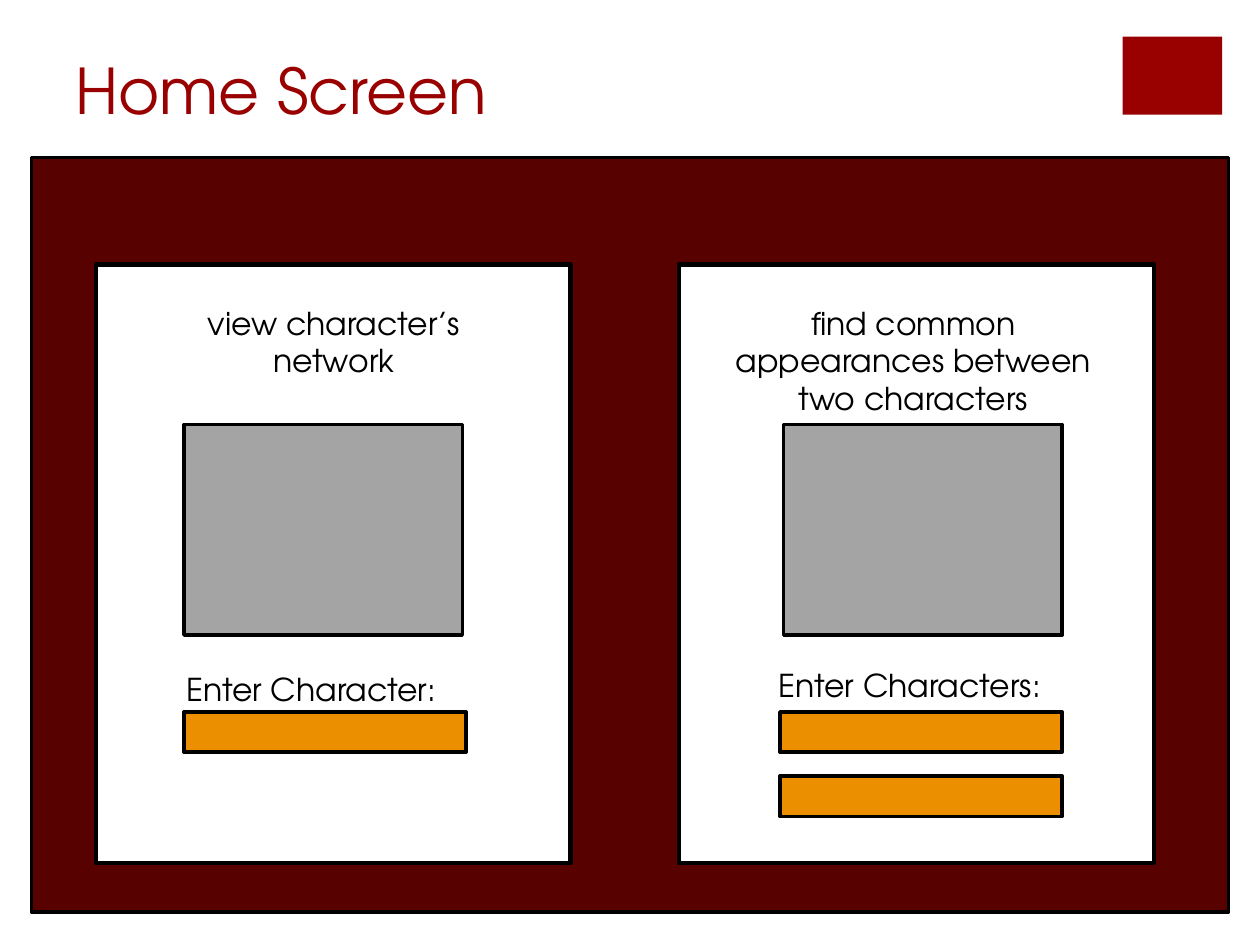
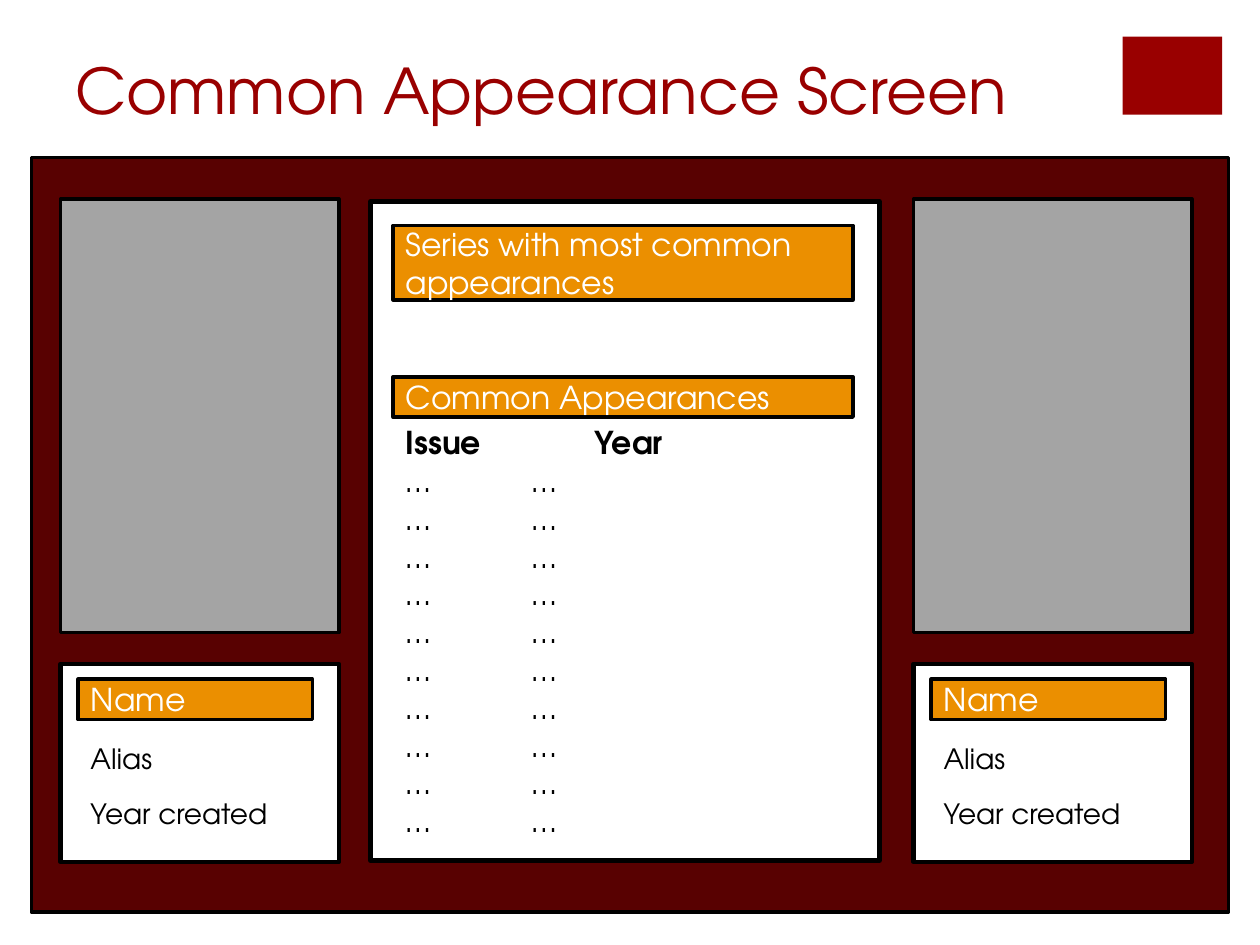
from dataclasses import dataclass

from pptx import Presentation
from pptx.dml.color import RGBColor
from pptx.enum.shapes import MSO_SHAPE
from pptx.enum.text import MSO_ANCHOR, MSO_AUTO_SIZE, PP_ALIGN
from pptx.presentation import Presentation as Deck
from pptx.slide import Slide
from pptx.text.text import TextFrame
from pptx.util import Pt

EMU_PER_PX = 9144  # 100 px to the inch


@dataclass(frozen=True)
class Theme:
    font: str = "TeX Gyre Adventor"
    accent: str = "990000"
    backdrop: str = "580101"
    panel: str = "FFFFFF"
    field: str = "EB8F00"
    image: str = "A4A4A4"
    ink: str = "000000"
    light_ink: str = "FFFFFF"
    title_size: int = 36
    body_size: int = 18
    detail_size: int = 16
    thin: float = 2
    thick: float = 2.5


@dataclass(frozen=True)
class Box:
    x: int
    y: int
    w: int
    h: int

    def emu(self) -> tuple[int, int, int, int]:
        return tuple(v * EMU_PER_PX for v in (self.x, self.y, self.w, self.h))


@dataclass(frozen=True)
class Choice:
    """One of the two options offered on the home screen."""
    panel_x: int
    heading: str
    heading_box: Box
    image_x: int
    prompt: str
    prompt_box: Box
    field_x: int
    field_tops: tuple[int, ...]


THEME = Theme()

CHOICES = (
    Choice(76, "view character’s network", Box(110, 236, 310, 71), 146,
           "Enter Character:", Box(138, 527, 237, 40), 146, (565,)),
    Choice(539, "find common appearances between two characters",
           Box(570, 236, 310, 101), 622,
           "Enter Characters:", Box(608, 524, 237, 40), 619, (565, 616)),
)
CHARACTER_LEFTS = (48, 725)
ISSUE_ROWS = 10


def format_text(tf: TextFrame, text: str, size: int, color: str,
                align: PP_ALIGN = PP_ALIGN.LEFT) -> None:
    tf.word_wrap = True
    tf.text = text
    for p in tf.paragraphs:
        p.alignment = align
        for r in p.runs:
            r.font.name = THEME.font
            r.font.size = Pt(size)
            r.font.color.rgb = RGBColor.from_string(color)


def add_rect(s: Slide, box: Box, fill: str, line: float = THEME.thin,
             text: str = "") -> None:
    """Draw a rectangle; a line width of 0 leaves out the outline."""
    sp = s.shapes.add_shape(MSO_SHAPE.RECTANGLE, *box.emu())
    sp.shadow.inherit = False
    sp.fill.solid()
    sp.fill.fore_color.rgb = RGBColor.from_string(fill)
    if line:
        sp.line.color.rgb = RGBColor.from_string(THEME.ink)
        sp.line.width = Pt(line)
    else:
        sp.line.fill.background()
    if text:
        sp.text_frame.vertical_anchor = MSO_ANCHOR.MIDDLE
        format_text(sp.text_frame, text, THEME.body_size, THEME.light_ink)


def add_text(s: Slide, box: Box, text: str, size: int = THEME.body_size,
             color: str = THEME.ink, align: PP_ALIGN = PP_ALIGN.LEFT,
             grow: bool = True) -> TextFrame:
    tf = s.shapes.add_textbox(*box.emu()).text_frame
    format_text(tf, text, size, color, align)
    tf.auto_size = MSO_AUTO_SIZE.SHAPE_TO_FIT_TEXT if grow else MSO_AUTO_SIZE.NONE
    return tf


def add_screen(prs: Deck, title: str) -> Slide:
    """Add a slide with the title, corner block and backdrop all screens share."""
    s = prs.slides.add_slide(prs.slide_layouts[6])
    add_rect(s, Box(891, 29, 79, 62), THEME.accent, line=0)
    add_rect(s, Box(25, 125, 950, 599), THEME.backdrop)
    add_text(s, Box(50, 36, 808, 125), title, THEME.title_size, THEME.accent,
             grow=False)
    return s


def add_choice(s: Slide, choice: Choice) -> None:
    add_rect(s, Box(choice.panel_x, 210, 377, 475), THEME.panel, THEME.thick)
    for top in choice.field_tops:
        add_rect(s, Box(choice.field_x, top, 224, 32), THEME.field)
    add_text(s, choice.prompt_box, choice.prompt)
    add_text(s, choice.heading_box, choice.heading, align=PP_ALIGN.CENTER)
    add_rect(s, Box(choice.image_x, 337, 221, 167), THEME.image)


def add_character(s: Slide, left: int) -> None:
    inner = left + 14
    add_rect(s, Box(left, 158, 221, 344), THEME.image)
    add_rect(s, Box(left, 527, 221, 157), THEME.panel, THEME.thick)
    add_rect(s, Box(inner, 539, 186, 32), THEME.field, text="Name")
    for top, detail in ((584, "Alias"), (627, "Year created")):
        add_text(s, Box(inner, top, 186, 37), detail, THEME.detail_size)


def add_appearances(s: Slide) -> None:
    add_rect(s, Box(294, 160, 404, 523), THEME.panel, THEME.thick)
    add_rect(s, Box(312, 179, 365, 59), THEME.field,
             text="Series with most common appearances")
    add_rect(s, Box(312, 299, 365, 32), THEME.field, text="Common Appearances")
    rows = ["Issue\t\tYear"] + ["…\t\t…"] * ISSUE_ROWS
    tf = add_text(s, Box(312, 331, 365, 374), "\n".join(rows))
    for r in tf.paragraphs[0].runs:
        r.font.bold = True


def main() -> None:
    prs = Presentation()
    prs.slide_width = 1000 * EMU_PER_PX
    prs.slide_height = 750 * EMU_PER_PX

    home = add_screen(prs, "Home Screen")
    for choice in CHOICES:
        add_choice(home, choice)

    common = add_screen(prs, "Common Appearance Screen")
    for left in CHARACTER_LEFTS:
        add_character(common, left)
    add_appearances(common)

    prs.save("out.pptx")


if __name__ == "__main__":
    main()
